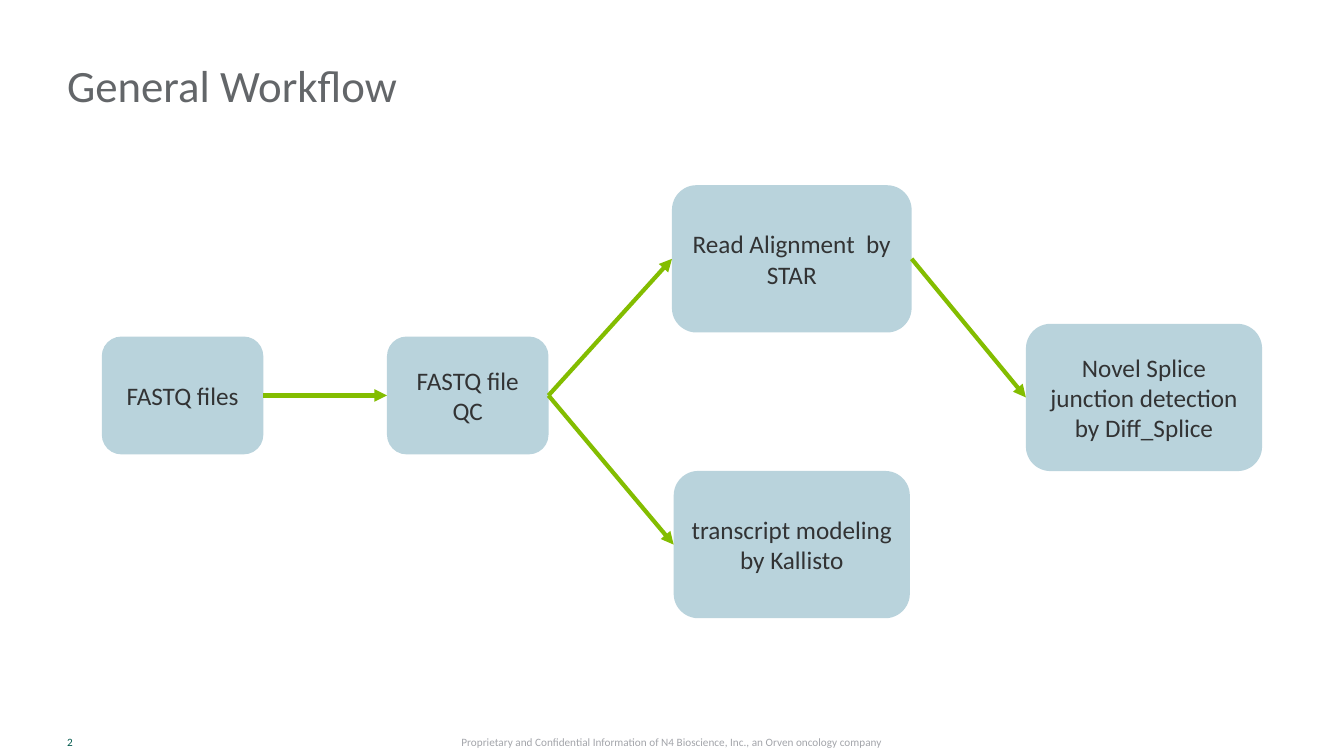
from lxml import etree
from pptx import Presentation
from pptx.dml.color import RGBColor
from pptx.enum.shapes import MSO_CONNECTOR, MSO_SHAPE
from pptx.enum.text import MSO_ANCHOR, PP_ALIGN
from pptx.oxml.ns import qn
from pptx.util import Pt

ROUNDED = MSO_SHAPE.ROUNDED_RECTANGLE
STRAIGHT = MSO_CONNECTOR.STRAIGHT
MIDDLE, BOTTOM = MSO_ANCHOR.MIDDLE, MSO_ANCHOR.BOTTOM
LEFT, CENTER = PP_ALIGN.LEFT, PP_ALIGN.CENTER
RIGHT_SIDE, LEFT_SIDE = 3, 1
FONT = "Calibri"

# Step name: text, left, top, width, height (points)
STEPS = {
    "files": ("FASTQ files", 72.7, 240.4, 115.4, 84.2),
    "qc": ("FASTQ file QC", 276.4, 240.4, 115.4, 84.2),
    "alignment": ("Read Alignment  by STAR", 480, 132.3, 171.2, 105.2),
    "transcripts": ("transcript modeling by Kallisto", 481.2, 336.4, 168.7, 105.2),
    "splicing": ("Novel Splice junction detection by Diff_Splice", 732.8, 231.3, 168.7, 105.2),
}
FLOWS = [
    ("files", "qc"),
    ("qc", "alignment"),
    ("qc", "transcripts"),
    ("alignment", "splicing"),
]


def color(value):
    return RGBColor.from_string(value)


def write_text(shape, text, size, text_color, alignment, anchor):
    frame = shape.text_frame
    frame.word_wrap = True
    frame.vertical_anchor = anchor
    paragraph = frame.paragraphs[0]
    paragraph.text = text
    paragraph.alignment = alignment
    paragraph.font.name = FONT
    paragraph.font.size = Pt(size)
    paragraph.font.color.rgb = color(text_color)
    return paragraph


def add_label(slide, box, text, size, text_color, alignment=LEFT, anchor=MIDDLE):
    shape = slide.shapes.add_textbox(*map(Pt, box))
    if alignment == LEFT:
        shape.text_frame.margin_left = 0
    return write_text(shape, text, size, text_color, alignment, anchor)


def add_step(slide, text, *box):
    shape = slide.shapes.add_shape(ROUNDED, *map(Pt, box))
    shape.shadow.inherit = False
    shape.fill.solid()
    shape.fill.fore_color.rgb = color("B9D3DC")
    shape.line.fill.background()
    write_text(shape, text, 18, "323334", CENTER, MIDDLE)
    return shape


def add_arrow(slide, source, target):
    connector = slide.shapes.add_connector(STRAIGHT, 0, 0, 0, 0)
    connector.begin_connect(source, RIGHT_SIDE)
    connector.end_connect(target, LEFT_SIDE)
    connector.line.width = Pt(3)
    connector.line.color.rgb = color("83BD00")
    outline = connector.line._get_or_add_ln()
    etree.SubElement(outline, qn("a:tailEnd"), type="triangle")
    etree.SubElement(connector._element.spPr, qn("a:effectLst"))


def main():
    presentation = Presentation()
    presentation.slide_width = Pt(960)
    presentation.slide_height = Pt(540)
    slide = presentation.slides.add_slide(presentation.slide_layouts[6])

    # Title and footer
    title = add_label(slide, (48, 0, 759, 83.5), "General Workflow", 32, "636669", anchor=BOTTOM)
    title.line_spacing = Pt(36)
    add_label(slide, (48, 520, 48, 20), "2", 8, "00594C")
    add_label(
        slide, (305, 520, 350, 20),
        "Proprietary and Confidential Information of N4 Bioscience, Inc., an Orven oncology company",
        8, "A3A5AA", CENTER,
    )

    # Workflow steps and the arrows between them
    steps = {name: add_step(slide, *step) for name, step in STEPS.items()}
    for source, target in FLOWS:
        add_arrow(slide, steps[source], steps[target])

    presentation.save("out.pptx")


if __name__ == "__main__":
    main()
